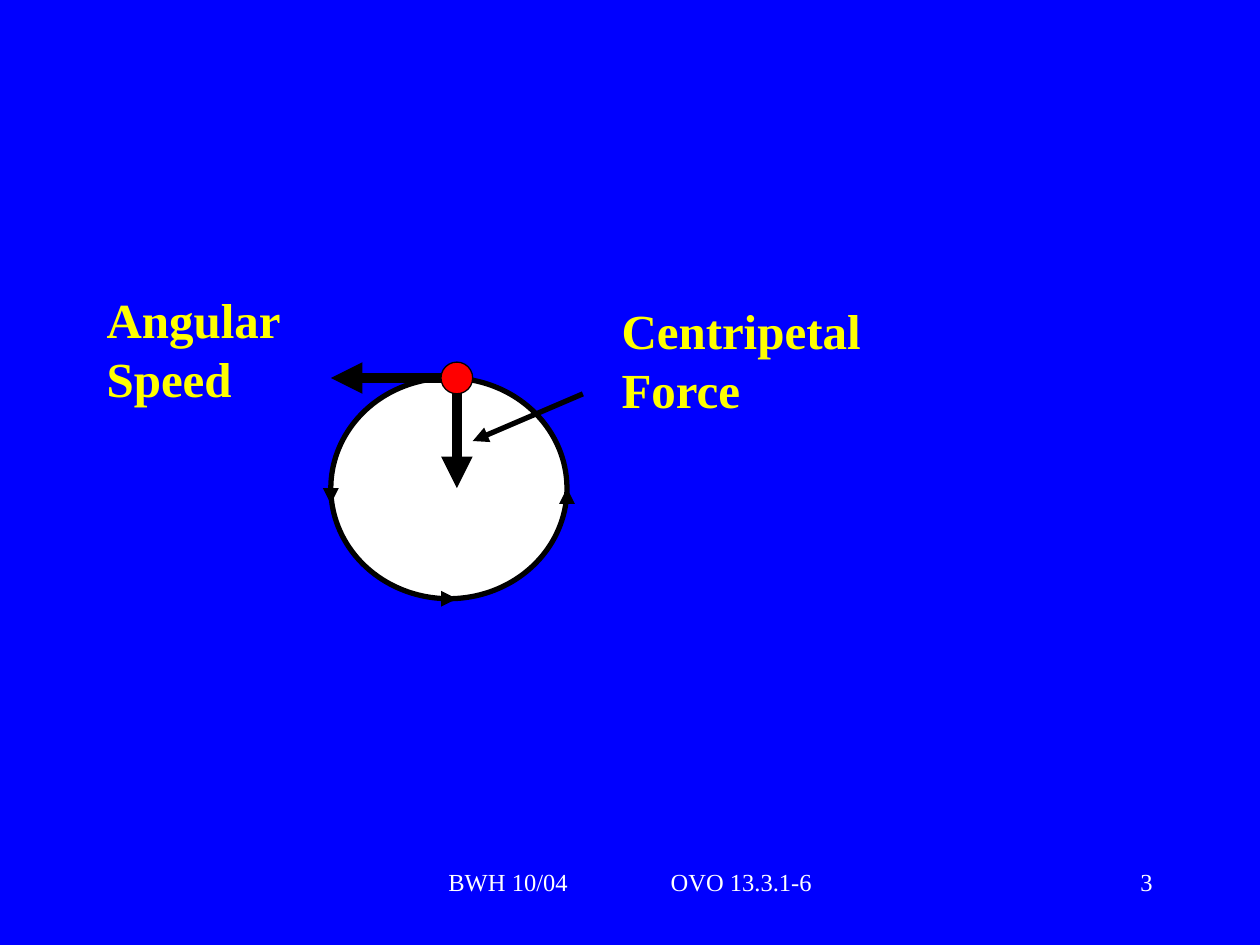
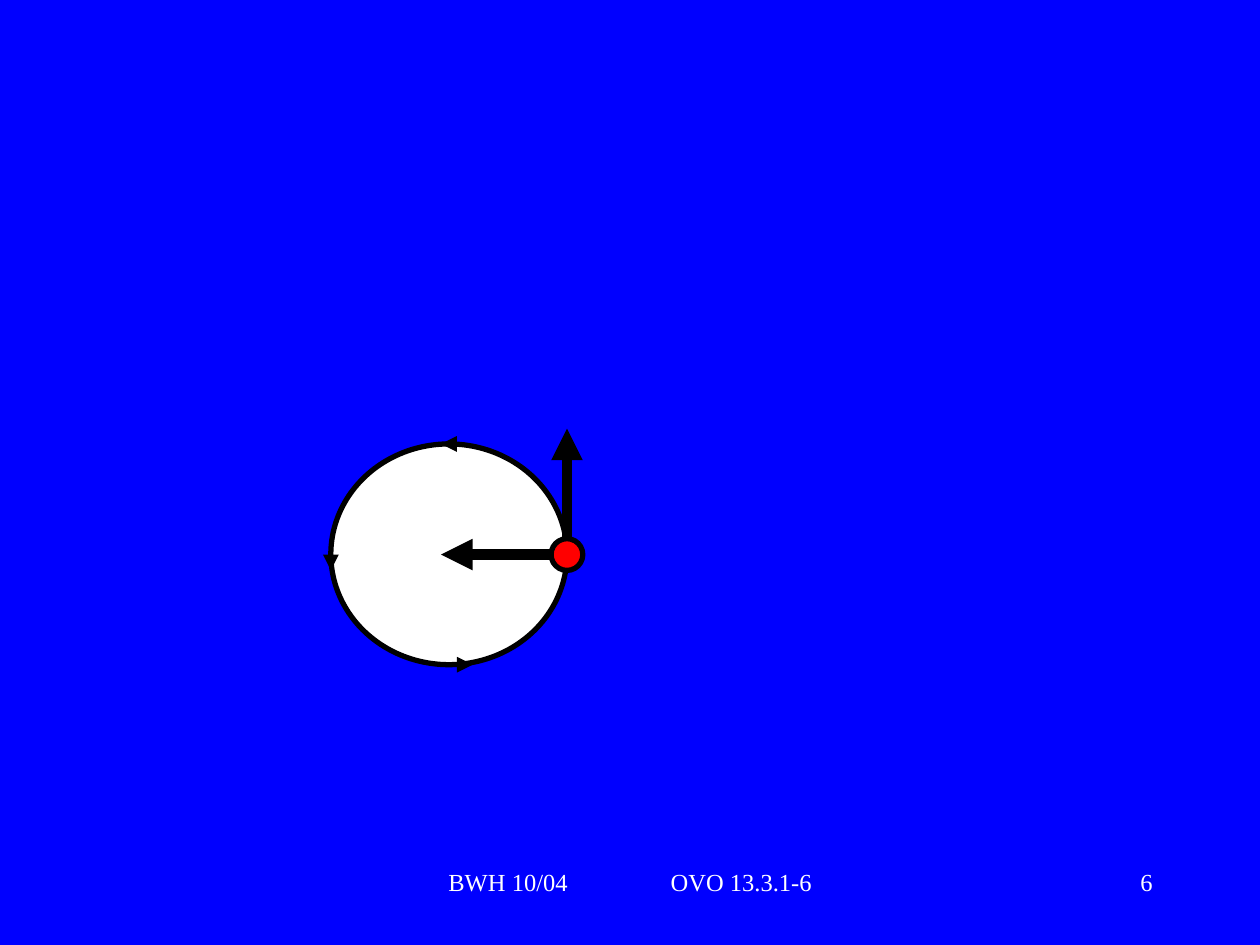
import dataclasses

import pptx
import pptx.dml.color
import pptx.enum.dml
import pptx.enum.shapes
import pptx.enum.text
import pptx.oxml
import pptx.oxml.ns
import pptx.util

Cm, Pt = pptx.util.Cm, pptx.util.Pt
ALIGN = pptx.enum.text.PP_ALIGN
AUTO = pptx.enum.text.MSO_AUTO_SIZE


@dataclasses.dataclass(frozen=True)
class Theme:
    back: str = "0000FF"
    disc: str = "FFFFFF"
    ball: str = "FF0000"
    ink: str = "000000"
    label: str = "FFFF00"
    foot: str = "FFFFFF"
    font: str = "Times New Roman"
    big: float = 28
    small: float = 14
    thin: float = 0.75
    mid: float = 3
    thick: float = 6


def color(code):
    return pptx.dml.color.RGBColor.from_string(code)


def node(tag, **attrs):
    item = pptx.oxml.parse_xml(f"<{tag} {pptx.oxml.ns.nsdecls('a')}/>")
    for name, value in attrs.items():
        item.set(name, str(value))
    return item


class Deck:
    def __init__(self, theme):
        self.theme = theme
        self.file = pptx.Presentation()
        self.file.slide_width = Cm(25.4)
        self.file.slide_height = Cm(19.05)
        self.slide = None

    def page(self):
        self.slide = self.file.slides.add_slide(self.file.slide_layouts[6])
        fill = self.slide.background.fill
        fill.solid()
        fill.fore_color.rgb = color(self.theme.back)

    def oval(self, left, top, width, height, fill, line):
        shape = self.slide.shapes.add_shape(
            pptx.enum.shapes.MSO_SHAPE.OVAL, Cm(left), Cm(top), Cm(width), Cm(height))
        shape.shadow.inherit = False
        shape.fill.solid()
        shape.fill.fore_color.rgb = color(fill)
        shape.line.color.rgb = color(self.theme.ink)
        shape.line.width = Pt(line)

    def orbit(self, top):
        self.oval(6.67, top, 4.76, 4.45, self.theme.disc, self.theme.mid)

    def ball(self, left, top, line):
        self.oval(left, top, 0.64, 0.64, self.theme.ball, line)

    def arrow(self, start, end, width):
        line = self.slide.shapes.add_connector(
            pptx.enum.shapes.MSO_CONNECTOR.STRAIGHT, *map(Cm, start + end))
        line.line.color.rgb = color(self.theme.ink)
        line.line.width = Pt(width)
        line.line._get_or_add_ln().append(node("a:tailEnd", type="triangle"))
        line._element.spPr.append(node("a:effectLst"))

    def text(self, words, left, top, width, height, *, size, tint, bold=False,
             align=ALIGN.LEFT, inset=0.25, before=0, tab=None, grow=False):
        box = self.slide.shapes.add_textbox(Cm(left), Cm(top), Cm(width), Cm(height))
        frame = box.text_frame
        frame.word_wrap = True
        frame.auto_size = AUTO.SHAPE_TO_FIT_TEXT if grow else AUTO.NONE
        frame.margin_left = Cm(inset)
        par = frame.paragraphs[0]
        par.alignment = align
        par.space_before = Pt(before)
        if tab:
            stops = node("a:tabLst")
            stops.append(node("a:tab", pos=Cm(tab), algn="l"))
            par._p.get_or_add_pPr().append(stops)
        run = par.add_run()
        run.text = words
        run.font.name = self.theme.font
        run.font.size = Pt(size)
        run.font.bold = bold
        run.font.color.rgb = color(tint)

    def label(self, words, left, top, width):
        self.text(words, left, top, width, 2.64, size=self.theme.big,
                  tint=self.theme.label, bold=True, before=17.5, grow=True)

    def foot(self, number):
        look = dict(size=self.theme.small, tint=self.theme.foot)
        self.text("BWH 10/04\tOVO 13.3.1-6", 8.69, 17.35, 8.05, 1.27,
                  inset=0.35, tab=4.48, **look)
        self.text(str(number), 18.21, 17.35, 5.28, 1.27, align=ALIGN.RIGHT, **look)


def top_view(deck):
    """Ball at the top of its orbit, with both vectors named."""
    look = deck.theme
    deck.page()
    deck.orbit(7.62)
    for end in ((6.67, 7.62), (9.21, 9.84)):
        deck.arrow((9.21, 7.62), end, look.thick)
    deck.ball(8.89, 7.3, look.thin)
    for start, end in (((6.67, 9.84), (6.67, 10.16)),
                       ((11.43, 10.16), (11.43, 9.84)),
                       ((8.89, 12.07), (9.21, 12.07)),
                       ((11.75, 7.94), (9.53, 8.89))):
        deck.arrow(start, end, look.mid)
    deck.label("Angular Speed", 1.9, 5.72, 4.65)
    deck.label("Centripetal Force", 12.28, 5.93, 5.72)
    deck.foot(3)


def side_view(deck):
    """Ball at the right of its orbit."""
    look = deck.theme
    deck.page()
    deck.orbit(8.95)
    deck.ball(11.11, 10.86, look.mid)
    for start, end, width in (((6.67, 11.18), (6.67, 11.5), look.mid),
                              ((9.21, 8.95), (8.89, 8.95), look.mid),
                              ((11.43, 10.86), (11.43, 8.64), look.thick),
                              ((9.21, 13.4), (9.53, 13.4), look.mid),
                              ((11.11, 11.18), (8.89, 11.18), look.thick)):
        deck.arrow(start, end, width)
    deck.foot(6)


def main():
    deck = Deck(Theme())
    top_view(deck)
    side_view(deck)
    deck.file.save("out.pptx")


if __name__ == "__main__":
    main()
